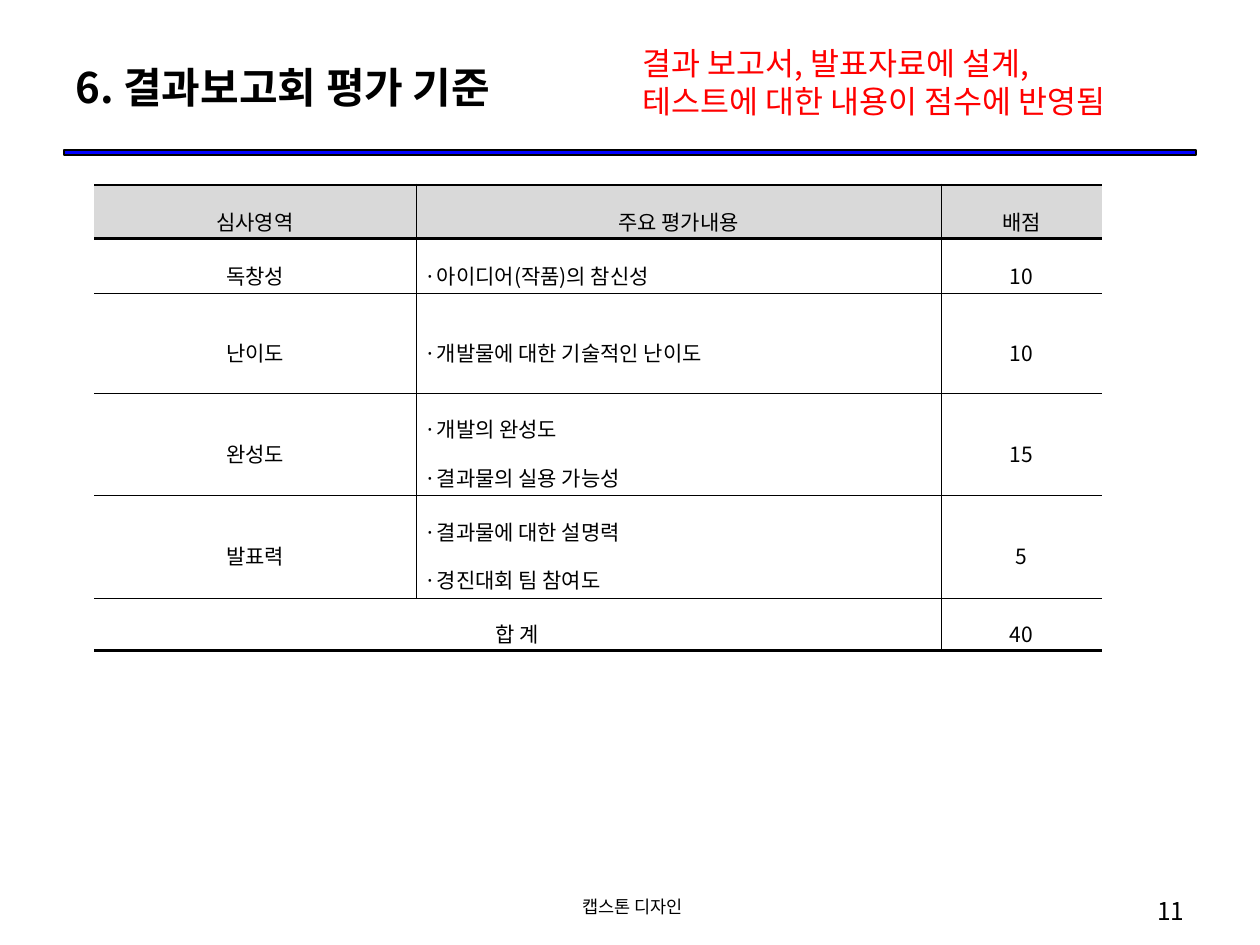
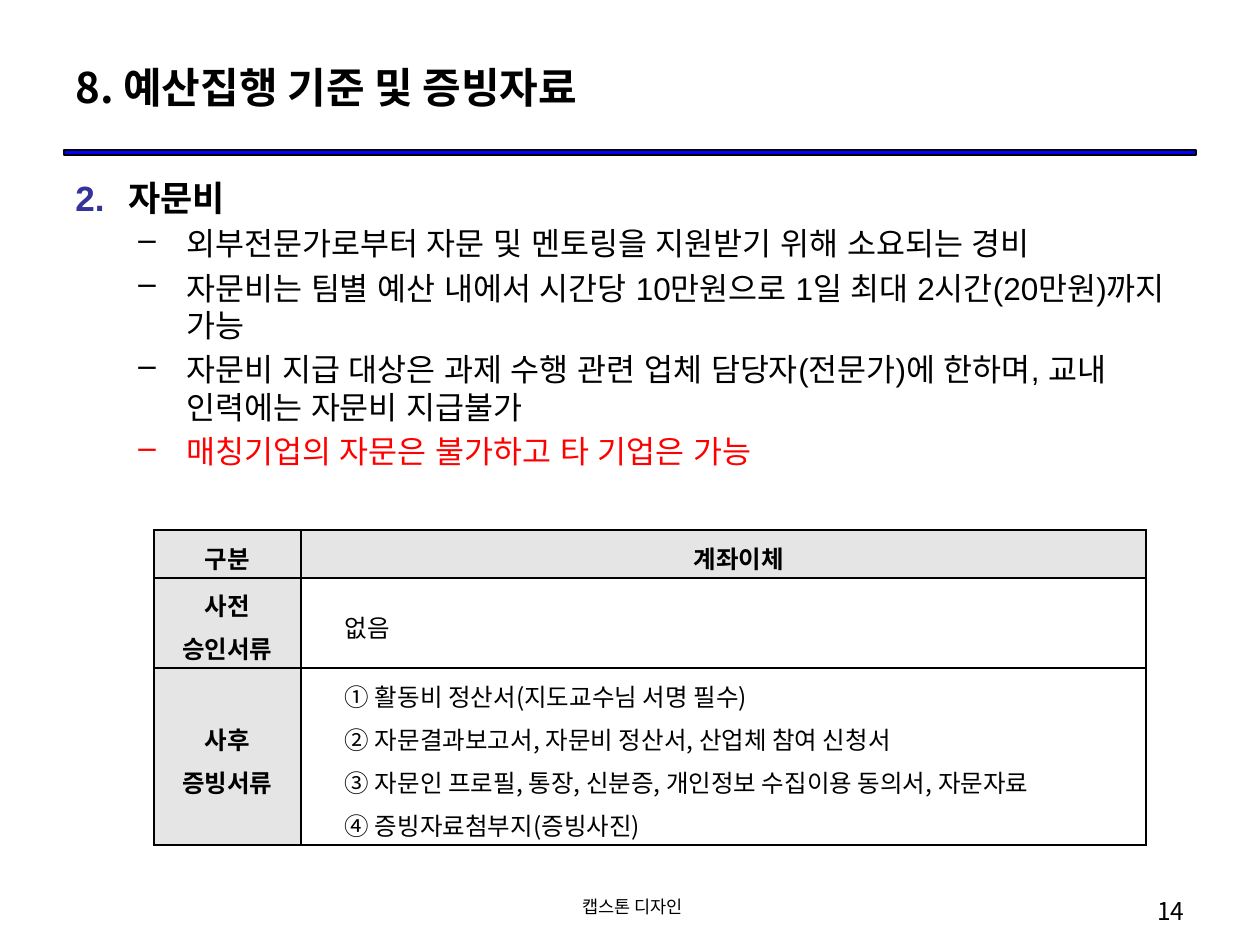
from dataclasses import dataclass

from lxml import etree
from pptx import Presentation
from pptx.dml.color import RGBColor
from pptx.enum.shapes import MSO_SHAPE
from pptx.enum.text import MSO_ANCHOR, PP_ALIGN
from pptx.oxml.ns import qn
from pptx.util import Emu, Pt

LEFT, CENTER, RIGHT, JUSTIFY = PP_ALIGN.LEFT, PP_ALIGN.CENTER, PP_ALIGN.RIGHT, PP_ALIGN.JUSTIFY
TOP, MIDDLE = MSO_ANCHOR.TOP, MSO_ANCHOR.MIDDLE
RECTANGLE = MSO_SHAPE.RECTANGLE
PX_PER_INCH = 126


@dataclass(frozen=True)
class Theme:
    """Colours, fonts and type sizes shared by the pages."""
    ink: str = "000000"
    alert: str = "FF0000"
    rule: str = "0000FF"
    number: str = "333399"
    criteria_head: str = "D9D9D9"
    evidence_head: str = "E5E5E5"
    font: str = "Noto Sans CJK KR"
    body_font: str = "Arial"
    title: int = 24
    heading: int = 20
    body: int = 18
    evidence: int = 14
    criteria: int = 12
    page_number: int = 14
    footer: int = 10
    hairline: float = 0.28
    grid: float = 0.75
    frame: float = 1.9
    head_line: float = 1.98


THEME = Theme()

CRITERIA = [
    ("심사영역", "주요 평가내용", "배점"),
    ("독창성", "·아이디어(작품)의 참신성", "10"),
    ("난이도", "·개발물에 대한 기술적인 난이도", "10"),
    ("완성도", "·개발의 완성도\n·결과물의 실용 가능성", "15"),
    ("발표력", "·결과물에 대한 설명력\n·경진대회 팀 참여도", "5"),
    ("합 계", "", "40"),
]
EVIDENCE = [
    ("구분", "계좌이체"),
    ("사전 승인서류", "없음"),
    ("사후 증빙서류", "① 활동비 정산서(지도교수님 서명 필수)\n"
     "② 자문결과보고서, 자문비 정산서, 산업체 참여 신청서\n"
     "③ 자문인 프로필, 통장, 신분증, 개인정보 수집이용 동의서, 자문자료\n"
     "④ 증빙자료첨부지(증빙사진)"),
]
ADVICE_RULES = [
    "외부전문가로부터 자문 및 멘토링을 지원받기 위해 소요되는 경비",
    "자문비는 팀별 예산 내에서 시간당 10만원으로 1일 최대 2시간(20만원)까지 가능",
    "자문비 지급 대상은 과제 수행 관련 업체 담당자(전문가)에 한하며, 교내 인력에는 자문비 지급불가",
    "매칭기업의 자문은 불가하고 타 기업은 가능",
]


def px(length):
    """Turn pixels into EMU."""
    return Emu(round(length * 914400 / PX_PER_INCH))


def rgb(colour):
    """Turn a hex string into a colour."""
    return RGBColor.from_string(colour)


def format_runs(para, size, bold=False, colour=THEME.ink, font=THEME.font):
    """Style every run of a paragraph, East Asian typeface included."""
    for span in para.runs:
        span.font.size = Pt(size)
        span.font.bold = bold
        span.font.color.rgb = rgb(colour)
        span.font.name = font
        etree.SubElement(span.font._element, qn("a:ea"), typeface=font)


def set_indent(para, margin, hanging):
    """Give a paragraph a hanging indent."""
    properties = para._p.get_or_add_pPr()
    properties.set("marL", str(px(margin)))
    properties.set("indent", str(-px(hanging)))
    return properties


def add_text(page, area, text, size, align=LEFT, anchor=TOP, wrap=True, **style):
    """Add a text box with one style throughout."""
    frame = page.shapes.add_textbox(*map(px, area)).text_frame
    frame.word_wrap = wrap
    frame.vertical_anchor = anchor
    frame.text = text
    for para in frame.paragraphs:
        para.alignment = align
        format_runs(para, size, **style)
    return frame


def add_page(deck, title, number):
    """Add a page with its title, rule and footers."""
    page = deck.slides.add_slide(deck.slide_layouts[6])
    rule = page.shapes.add_shape(RECTANGLE, *map(px, (64, 150, 1132, 5)))
    rule.shadow.inherit = False
    rule.fill.solid()
    rule.fill.fore_color.rgb = rgb(THEME.rule)
    rule.line.color.rgb = rgb(THEME.ink)
    rule.line.width = Pt(0.75)
    add_text(page, (63, 38, 1134, 97), title, THEME.title, anchor=MIDDLE, bold=True)
    add_text(page, (431, 890, 399, 37), " 캡스톤 디자인", THEME.footer, CENTER)
    add_text(page, (903, 890, 294, 37), number, THEME.page_number, RIGHT)
    return page


def set_borders(cell, widths):
    """Draw left, right, top and bottom borders; a width of 0 draws none."""
    properties = cell._tc.get_or_add_tcPr()
    for position, (side, width) in enumerate(zip("LRTB", widths)):
        line = etree.Element(qn(f"a:ln{side}"), w=str(Pt(width)))
        if width:
            fill = etree.SubElement(line, qn("a:solidFill"))
            etree.SubElement(fill, qn("a:srgbClr"), val=THEME.ink)
        else:
            etree.SubElement(line, qn("a:noFill"))
        properties.insert(position, line)


def add_grid(page, origin, columns, heights, rows):
    """Add an unstyled table and fill in its wording."""
    size = sum(columns), sum(heights)
    table = page.shapes.add_table(len(rows), len(columns), *map(px, origin + size)).table
    table.first_row = table.horz_banding = False
    for column, width in zip(table.columns, columns):
        column.width = px(width)
    for row, height, texts in zip(table.rows, heights, rows):
        row.height = px(height)
        for cell, text in zip(row.cells, texts):
            cell.text_frame.text = text
    return table


def style_cell(cell, size, align, spacing, inset, fill=None, bold=False):
    """Set the fill, margins and text style of a cell."""
    cell.vertical_anchor = MIDDLE
    cell.margin_left = cell.margin_right = px(inset)
    cell.margin_top = cell.margin_bottom = px(2)
    if fill:
        cell.fill.solid()
        cell.fill.fore_color.rgb = rgb(fill)
    else:
        cell.fill.background()
    for para in cell.text_frame.paragraphs:
        para.alignment = align
        para.line_spacing = spacing
        format_runs(para, size, bold)


def add_criteria_table(page):
    """Add the scoring table, open at both sides."""
    heights = [54, 54, 100, 102, 103, 53]
    table = add_grid(page, (94, 185), [322, 525, 161], heights, CRITERIA)
    table.cell(5, 0).merge(table.cell(5, 1))
    thin = THEME.hairline
    levels = [THEME.frame, THEME.head_line, thin, thin, thin, thin, THEME.frame]
    uprights = [0, thin, thin, 0]
    for r, row in enumerate(table.rows):
        for c, cell in enumerate(row.cells):
            align = JUSTIFY if r and c == 1 else CENTER
            fill = None if r else THEME.criteria_head
            style_cell(cell, THEME.criteria, align, 1.6, 9, fill)
            set_borders(cell, (uprights[c], uprights[c + 1], levels[r], levels[r + 1]))


def add_evidence_table(page):
    """Add the table of required documents, with a full grid."""
    table = add_grid(page, (154, 530), [147, 845], [48, 90, 177], EVIDENCE)
    for r, row in enumerate(table.rows):
        for c, cell in enumerate(row.cells):
            head = r == 0 or c == 0
            fill = THEME.evidence_head if head else None
            style_cell(cell, THEME.evidence, CENTER if head else JUSTIFY, 1.2, 13, fill, head)
            set_borders(cell, [THEME.grid] * 4)
            if c:
                for para in cell.text_frame.paragraphs:
                    set_indent(para, 50, 19)


def add_advice_list(page):
    """Add the numbered heading and its dashed rules."""
    text = "\n".join(["자문비"] + ADVICE_RULES)
    frame = add_text(page, (63, 170, 1134, 719), text, THEME.body, font=THEME.body_font)
    heading, *rules = frame.paragraphs
    heading.space_before = Pt(THEME.heading * 0.2)
    properties = set_indent(heading, 53, 53)
    colour = etree.SubElement(properties, qn("a:buClr"))
    etree.SubElement(colour, qn("a:srgbClr"), val=THEME.number)
    etree.SubElement(properties, qn("a:buFont"), typeface=THEME.font)
    etree.SubElement(properties, qn("a:buAutoNum"), type="arabicPeriod", startAt="2")
    for span in heading.runs:
        span.font.size = Pt(THEME.heading)
        span.font.bold = True
    for para in rules:
        para.level = 1
        para.space_before = Pt(THEME.body * 0.2)
        etree.SubElement(set_indent(para, 111, 48), qn("a:buChar"), char="–")
    rules[-1].runs[0].font.color.rgb = rgb(THEME.alert)


def main():
    """Build and save the deck."""
    deck = Presentation()
    deck.slide_width, deck.slide_height = px(1260), px(945)

    page = add_page(deck, "6. 결과보고회 평가 기준", "11")
    add_criteria_table(page)
    note = "결과 보고서, 발표자료에 설계,\n테스트에 대한 내용이 점수에 반영됨"
    add_text(page, (630, 38, 546, 89), note, THEME.body, wrap=False, colour=THEME.alert)

    page = add_page(deck, "8. 예산집행 기준 및 증빙자료", "14")
    add_advice_list(page)
    add_evidence_table(page)

    deck.save("out.pptx")


if __name__ == "__main__":
    main()
